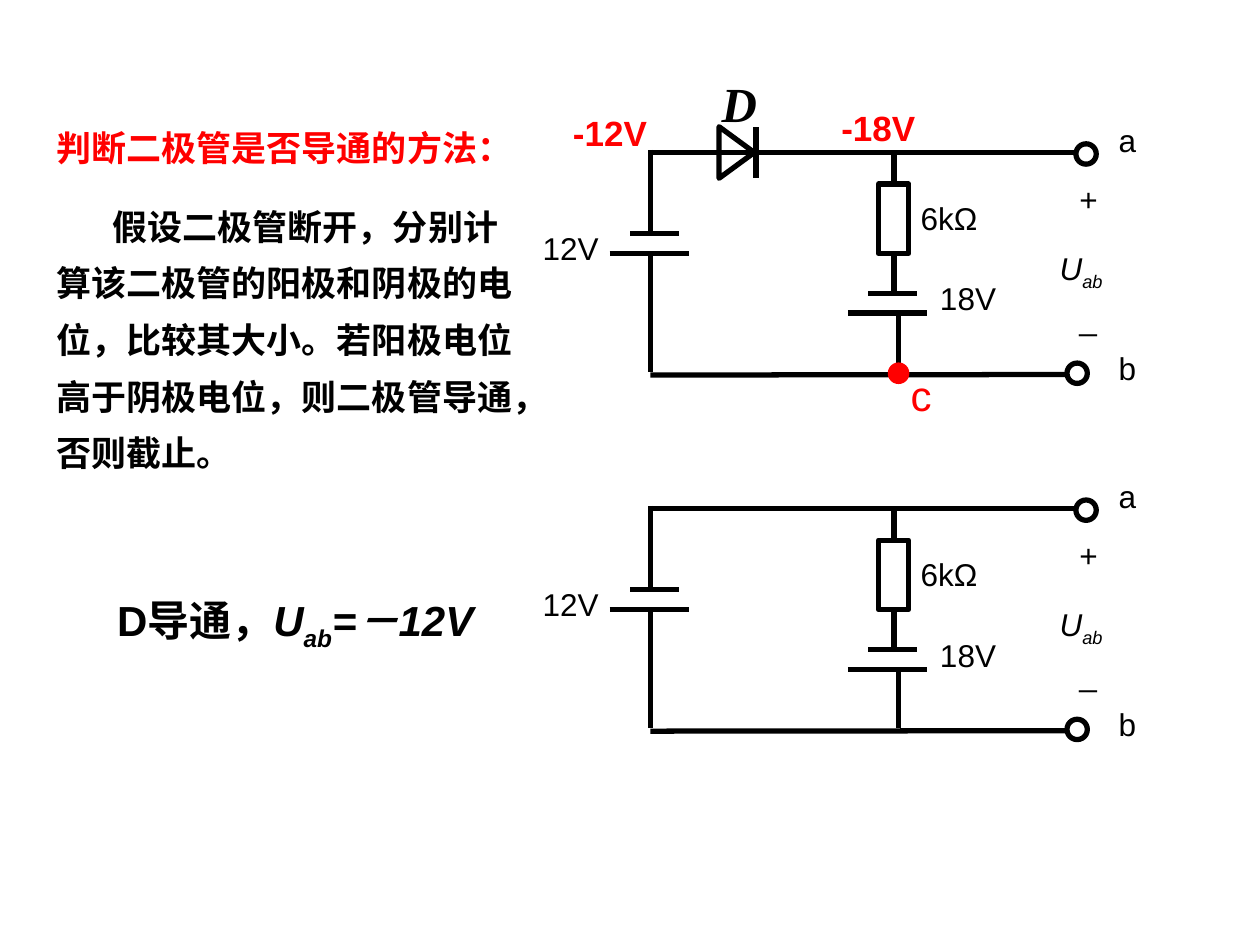
from lxml import etree
from pptx import Presentation
from pptx.dml.color import RGBColor
from pptx.enum import shapes, text
from pptx.oxml.ns import qn
from pptx.util import Cm, Pt

COLORS = {"black": "000000", "red": "FF0000", "white": "FFFFFF"}
SHAPE = shapes.MSO_SHAPE
LABEL = {"name": "Arial", "size": Pt(18)}
ITALIC = {**LABEL, "italic": True}
VOLTAGE = {"name": "Arial", "size": Pt(20), "bold": True}
RESULT = {"name": "Arial", "size": Pt(24), "bold": True}
RESULT_ITALIC = {**RESULT, "italic": True}
DIODE = {"name": "Times New Roman", "size": Pt(28), "bold": True, "italic": True}
NODE = {"name": "Arial", "size": Pt(24)}


def rgb(name):
    return RGBColor.from_string(COLORS[name])


class Sketch:
    def __init__(self, slide):
        self.slide = slide
        self.target = slide.shapes
        self.weight = Pt(3)

    def group(self):
        self.target = self.slide.shapes.add_group_shape().shapes

    def ungroup(self):
        self.target = self.slide.shapes

    def line(self, x1, y1, x2, y2):
        c = self.target.add_connector(
            shapes.MSO_CONNECTOR.STRAIGHT, Cm(x1), Cm(y1), Cm(x2), Cm(y2))
        c.line.width = self.weight
        c.line.color.rgb = rgb("black")
        etree.SubElement(c._element.spPr, qn("a:effectLst"))

    def shape(self, kind, x, y, w, h, fill=None, line="black", weight=None, rotation=0):
        sp = self.target.add_shape(kind, Cm(x), Cm(y), Cm(w), Cm(h))
        sp.shadow.inherit = False
        sp.rotation = rotation
        sp.line.color.rgb = rgb(line)
        sp.line.width = weight or self.weight
        if fill:
            sp.fill.solid()
            sp.fill.fore_color.rgb = rgb(fill)
        else:
            sp.fill.background()

    def text(self, x, y, w, h, *paragraphs):
        tf = self.target.add_textbox(Cm(x), Cm(y), Cm(w), Cm(h)).text_frame
        tf.word_wrap = True
        tf.auto_size = text.MSO_AUTO_SIZE.SHAPE_TO_FIT_TEXT
        for i, runs in enumerate(paragraphs):
            p = tf.add_paragraph() if i else tf.paragraphs[0]
            for content, style, color, *baseline in runs:
                r = p.add_run()
                r.text = content
                for key, value in style.items():
                    setattr(r.font, key, value)
                r.font.color.rgb = rgb(color)
                if baseline:
                    r._r.get_or_add_rPr().set("baseline", str(baseline[0]))
        return tf

    def label(self, x, y, w, h, content, style=LABEL, color="black"):
        self.text(x, y, w, h, [(content, style, color)])

    def circuit(self, dy, diode):
        self.group()
        wires = [
            (13.13, 3.07, 21.69, 3.07), (13.11, 7.56, 21.51, 7.55),
            (13.11, 3.02, 13.11, 4.7), (18.02, 3.05, 18.02, 5.91),
            (12.7, 4.7, 13.69, 4.7), (12.29, 5.11, 13.89, 5.11),
            (13.11, 5.11, 13.11, 7.49), (17.5, 5.91, 18.49, 5.91),
            (17.09, 6.31, 18.69, 6.31), (18.11, 6.31, 18.11, 7.5),
        ]
        for x1, y1, x2, y2 in wires:
            self.line(x1, y1 + dy, x2, y2 + dy)
        self.shape(SHAPE.RECTANGLE, 17.71, 3.71 + dy, 0.61, 1.4, "white")
        for x, y in ((21.69, 2.9), (21.51, 7.32)):
            self.shape(SHAPE.OVAL, x, y + dy, 0.41, 0.41)
        if diode:
            self.shape(SHAPE.ISOSCELES_TRIANGLE, 14.33, 2.72, 1.04, 0.71, rotation=90)
            self.line(15.24, 3.58, 15.24, 2.57)
            self.label(14.3, 1.35, 1.32, 1.45, "D", DIODE)
        labels = [
            ("12V", 10.69, 4.49, 2.01), ("6kΩ", 18.31, 3.89, 2.39),
            ("18V", 18.7, 5.51, 2.01), ("a", 22.3, 2.31, 1.4),
            ("b", 22.3, 6.91, 0.79), ("+", 21.51, 3.51, 1.19),
            ("_", 21.51, 5.91, 1.4),
        ]
        for content, x, y, w in labels:
            self.label(x, y + dy, w, 1.02, content)
        self.text(21.11, 4.9 + dy, 1.8, 1.12,
                  [("U", ITALIC, "black"), ("ab", ITALIC, "black", -25000)])
        self.ungroup()


def main():
    prs = Presentation()
    prs.slide_width, prs.slide_height = Cm(25.4), Cm(19.05)
    s = Sketch(prs.slides.add_slide(prs.slide_layouts[6]))

    s.circuit(0, diode=True)
    s.circuit(7.18, diode=False)

    s.group()
    s.shape(SHAPE.OVAL, 17.91, 7.32, 0.41, 0.41, "red", "red", Pt(0.75))
    s.label(18.11, 7.32, 1.8, 1.27, "c", NODE, "red")
    s.ungroup()
    s.label(16.71, 2.03, 2.39, 1.12, "-18V", VOLTAGE, "red")
    s.label(11.3, 2.13, 2.21, 1.12, "-12V", VOLTAGE, "red")

    method = s.text(
        0.89, 2.13, 9.8, 7.57,
        [("判断二极管是否导通的方法：", VOLTAGE, "red")],
        [("假设二极管断开，分别计算该二极管的阳极和阴极的电位，比较其大小。"
          "若阳极电位高于阴极电位，则二极管导通，否则截止。", VOLTAGE, "black")])
    for p in method.paragraphs:
        p.line_spacing = 1.35
    body = method.paragraphs[1]
    body.space_before = Pt(12.5)
    body._p.get_or_add_pPr().set("indent", str(Cm(1.13)))

    s.text(2.11, 11.86, 8.2, 2.44,
           [("D导通，", RESULT, "black"), ("U", RESULT_ITALIC, "black"),
            ("ab", RESULT_ITALIC, "black", -25000),
            ("=－12V", RESULT_ITALIC, "black")])
    prs.save("out.pptx")


if __name__ == "__main__":
    main()
